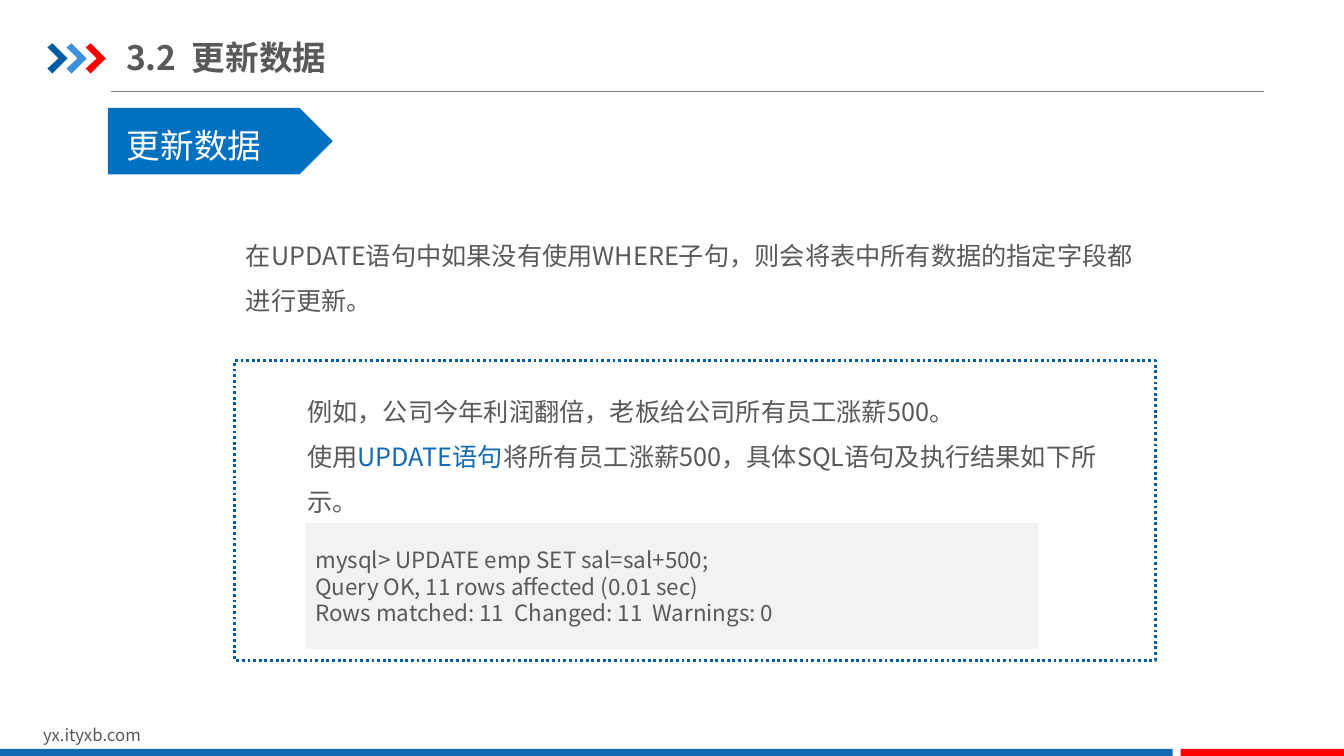
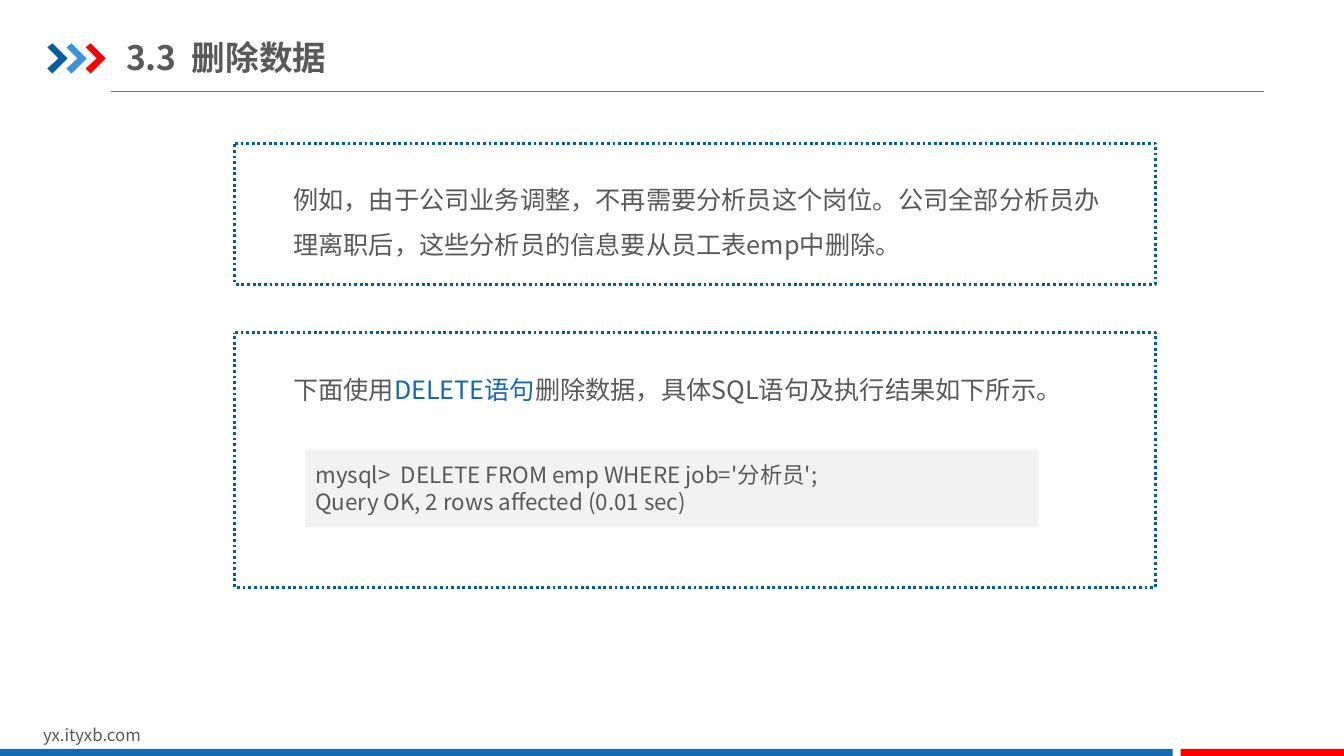
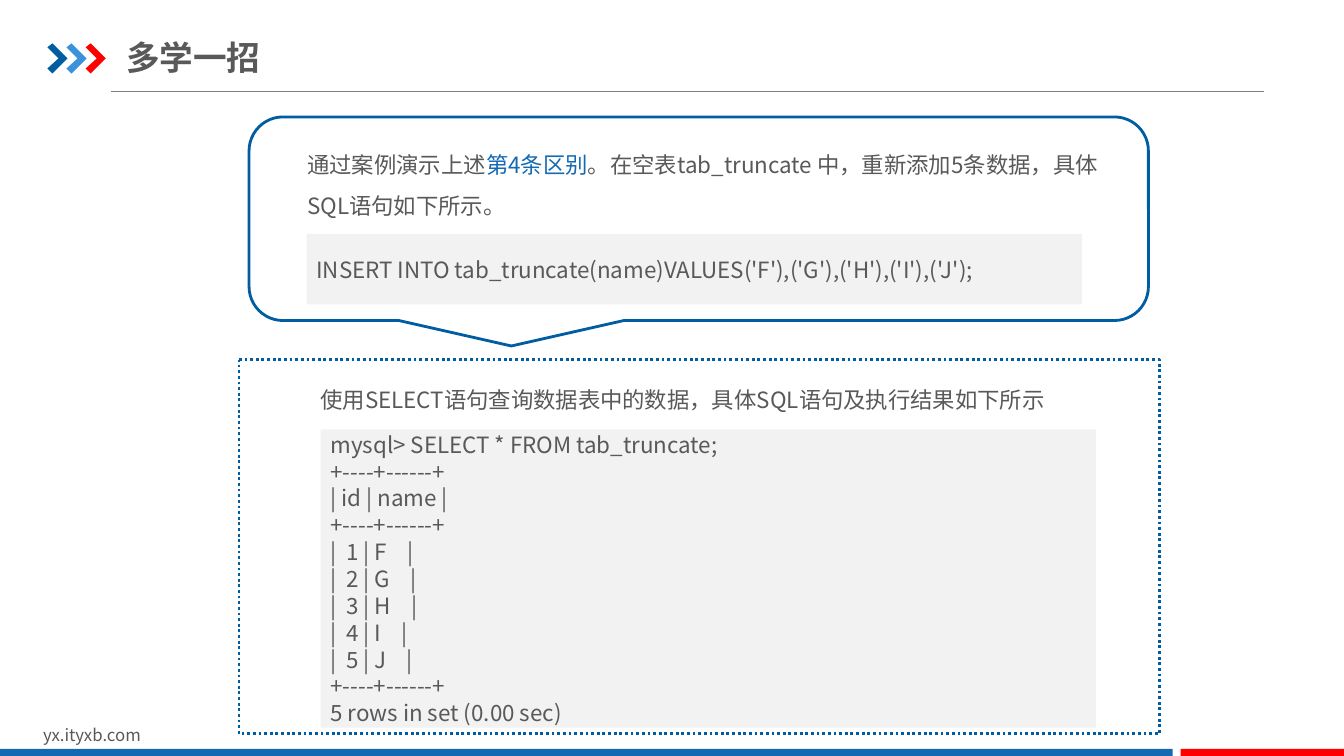
import collections

import lxml.etree
import pptx
import pptx.dml.color
import pptx.enum.dml
import pptx.enum.shapes
import pptx.enum.text
import pptx.oxml.ns
import pptx.util

Inches = pptx.util.Inches
RGB = pptx.dml.color.RGBColor
SHAPE = pptx.enum.shapes.MSO_SHAPE
ANCHOR = pptx.enum.text.MSO_ANCHOR
ALIGN = pptx.enum.text.PP_ALIGN
qn = pptx.oxml.ns.qn

FONT = "Noto Sans CJK SC"
INK = RGB(0x59, 0x59, 0x59)
RULE = RGB(0x80, 0x80, 0x80)
NAVY = RGB(0x00, 0x5D, 0xA2)
SKY = RGB(0x39, 0x92, 0xDB)
BLUE = RGB(0x13, 0x69, 0xB2)
BANNER = RGB(0x00, 0x70, 0xC0)
RED = RGB(0xFF, 0x00, 0x00)
WHITE = RGB(0xFF, 0xFF, 0xFF)
CODE_FILL = RGB(0xF2, 0xF2, 0xF2)

WIDTH, HEIGHT = 13.33, 7.5
PANEL_WIDTH = 9.13

Box = collections.namedtuple("Box", "left top width height")


def inside(outer, inner):
    """Turn a box measured from the corner of outer into a slide box."""
    return Box(outer.left + inner.left, outer.top + inner.top,
               inner.width, inner.height)


def lengths(box):
    return [Inches(value) for value in box]


def write(frame, lines, size, color=INK, spacing=1.0, bold=False):
    """Fill a frame; text between double asterisks is highlighted."""
    frame.word_wrap = True
    for index, line in enumerate(lines):
        para = frame.add_paragraph() if index else frame.paragraphs[0]
        para.alignment = ALIGN.LEFT
        para.line_spacing = spacing
        font = para.font
        font.name, font.size, font.bold = FONT, pptx.util.Pt(size), bold
        font.color.rgb = color
        defaults = para._p.pPr.find(qn("a:defRPr"))
        lxml.etree.SubElement(defaults, qn("a:ea"), typeface=FONT)
        for part, text in enumerate(line.split("**")):
            span = para.add_run()
            span.text = text
            if part % 2:
                span.font.color.rgb = BLUE


def paint(shape, fill, line=None, dash=None):
    shape.shadow.inherit = False
    shape.fill.solid()
    shape.fill.fore_color.rgb = fill
    if line is None:
        shape.line.fill.background()
        return
    shape.line.color.rgb = line
    shape.line.width = pptx.util.Pt(2)
    if dash:
        shape.line.dash_style = dash


def add_block(page, kind, box, *style):
    shape = page.shapes.add_shape(kind, *lengths(box))
    paint(shape, *style)
    return shape


def add_text(page, box, lines, size, **style):
    write(page.shapes.add_textbox(*lengths(box)).text_frame, lines, size, **style)


def add_chevrons(page):
    """Three arrowheads, drawn in hundredths of an inch."""
    outline = [(5, -4), (20, 11), (5, 26), (0, 21), (11, 11)]
    for index, color in enumerate((NAVY, SKY, RED)):
        left, top = 47 + 19 * index, 47
        builder = page.shapes.build_freeform(left, top, scale=Inches(0.01))
        builder.add_line_segments([(left + x, top + y) for x, y in outline])
        paint(builder.convert_to_shape(), color)


def add_heading(page, title):
    add_chevrons(page)
    rule = page.shapes.add_connector(
        pptx.enum.shapes.MSO_CONNECTOR.STRAIGHT,
        Inches(1.1), Inches(0.91), Inches(12.54), Inches(0.91))
    rule.line.color.rgb = RULE
    rule.line.width = pptx.util.Pt(0.75)
    lxml.etree.SubElement(rule._element.spPr, qn("a:effectLst"))

    heading = page.shapes.title
    heading.left, heading.top, heading.width, heading.height = lengths(
        Box(1.25, 0.29, 4.26, 0.55))
    frame = heading.text_frame
    frame.auto_size = pptx.enum.text.MSO_AUTO_SIZE.NONE
    frame.vertical_anchor = ANCHOR.MIDDLE
    frame.margin_left = frame.margin_right = 0
    frame.margin_top = frame.margin_bottom = Inches(0.07)
    write(frame, [title], 24, bold=True)


def add_footer(page):
    add_text(page, Box(0.33, 7.14, 3.18, 0.3), ["yx.ityxb.com"], 12)
    top = 7.43
    for left, right, color in ((0, 11.63, BLUE), (11.71, WIDTH, RED)):
        add_block(page, SHAPE.RECTANGLE,
                  Box(left, top, right - left, HEIGHT - top), color)


def add_page(deck, title):
    page = deck.slides.add_slide(deck.slide_layouts.get_by_name("Title Only"))
    add_heading(page, title)
    add_footer(page)
    return page


def add_banner(page, box, label):
    add_block(page, SHAPE.PENTAGON, box, BANNER)
    label_box = Box(0.09, -0.08, box.width - 0.17, 0.71)
    add_text(page, inside(box, label_box), [label], 24, color=WHITE, spacing=1.5)


def add_dotted_panel(page, box):
    add_block(page, SHAPE.FLOWCHART_PROCESS, box, WHITE, NAVY,
              pptx.enum.dml.MSO_LINE.ROUND_DOT)


def add_callout(page, box):
    add_block(page, SHAPE.ROUNDED_RECTANGULAR_CALLOUT, box, WHITE, NAVY)


def add_prose(page, panel, box, lines, size=18):
    add_text(page, inside(panel, box), lines, size, spacing=1.5)


def add_code(page, panel, box, code):
    shape = add_block(page, SHAPE.RECTANGLE, inside(panel, box), CODE_FILL)
    shape.text_frame.vertical_anchor = ANCHOR.MIDDLE
    write(shape.text_frame, code.splitlines(), 16)


def build_update(deck):
    page = add_page(deck, "3.2  更新数据")
    add_banner(page, Box(1.07, 1.07, 2.23, 0.66), "更新数据")
    add_text(page, Box(2.34, 2.18, PANEL_WIDTH, 1.01), [
        "在UPDATE语句中如果没有使用WHERE子句，则会将表中所有数据的指定字段都进行更新。",
    ], 18, spacing=1.5)
    panel = Box(2.33, 3.58, PANEL_WIDTH, 2.97)
    add_dotted_panel(page, panel)
    prose = Box(0.62, 0.15, 8.21, 1.46)
    add_prose(page, panel, prose, [
        "例如，公司今年利润翻倍，老板给公司所有员工涨薪500。",
        "使用**UPDATE语句**将所有员工涨薪500，具体SQL语句及执行结果如下所示。",
    ])
    add_code(page, panel, Box(0.7, prose.top + prose.height, 7.27, 1.25), """\
mysql> UPDATE emp SET sal=sal+500;
Query OK, 11 rows affected (0.01 sec)
Rows matched: 11  Changed: 11  Warnings: 0""")


def build_delete(deck):
    page = add_page(deck, "3.3  删除数据")
    case = Box(2.33, 1.42, PANEL_WIDTH, 1.4)
    add_dotted_panel(page, case)
    add_prose(page, case, Box(0.48, 0.21, 8.21, 1.01), [
        "例如，由于公司业务调整，不再需要分析员这个岗位。"
        "公司全部分析员办理离职后，这些分析员的信息要从员工表emp中删除。",
    ])
    answer = Box(2.33, 3.3, PANEL_WIDTH, 2.53)
    add_dotted_panel(page, answer)
    add_prose(page, answer, Box(0.48, 0.21, 8.21, 0.55), [
        "下面使用**DELETE语句**删除数据，具体SQL语句及执行结果如下所示。",
    ])
    add_code(page, answer, Box(0.7, 1.16, 7.27, 0.77), """\
mysql>  DELETE FROM emp WHERE job='分析员';
Query OK, 2 rows affected (0.01 sec)""")


def build_truncate(deck):
    page = add_page(deck, "多学一招")
    callout = Box(2.47, 1.16, 8.92, 2.02)
    add_callout(page, callout)
    add_prose(page, callout, Box(0.48, 0.16, 8.06, 0.91), [
        "通过案例演示上述**第4条区别**。在空表tab_truncate 中，"
        "重新添加5条数据，具体SQL语句如下所示。",
    ], 16)
    add_code(page, callout, Box(0.57, 1.16, 7.69, 0.7),
             "INSERT INTO tab_truncate(name)VALUES('F'),('G'),('H'),('I'),('J');")
    result = Box(2.37, 3.57, PANEL_WIDTH, 3.71)
    add_dotted_panel(page, result)
    add_prose(page, result, Box(0.71, 0.08, 8.06, 0.5), [
        "使用SELECT语句查询数据表中的数据，具体SQL语句及执行结果如下所示",
    ], 16)
    add_code(page, result, Box(0.81, 0.69, 7.69, 2.96), """\
mysql> SELECT * FROM tab_truncate;
+----+------+
| id | name |
+----+------+
|  1 | F    |
|  2 | G    |
|  3 | H    |
|  4 | I    |
|  5 | J    |
+----+------+
5 rows in set (0.00 sec)""")


def main():
    deck = pptx.Presentation()
    deck.slide_width, deck.slide_height = Inches(WIDTH), Inches(HEIGHT)
    for build in (build_update, build_delete, build_truncate):
        build(deck)
    deck.save("out.pptx")


if __name__ == "__main__":
    main()
